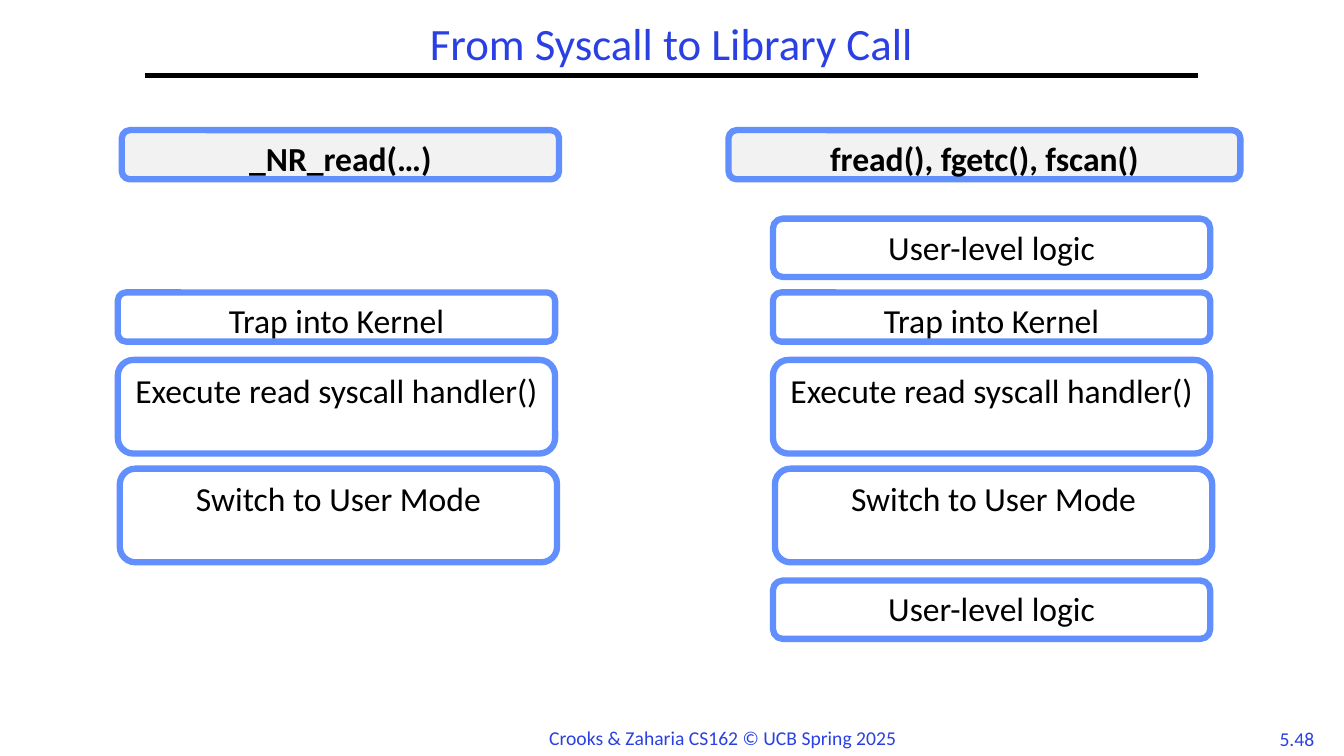
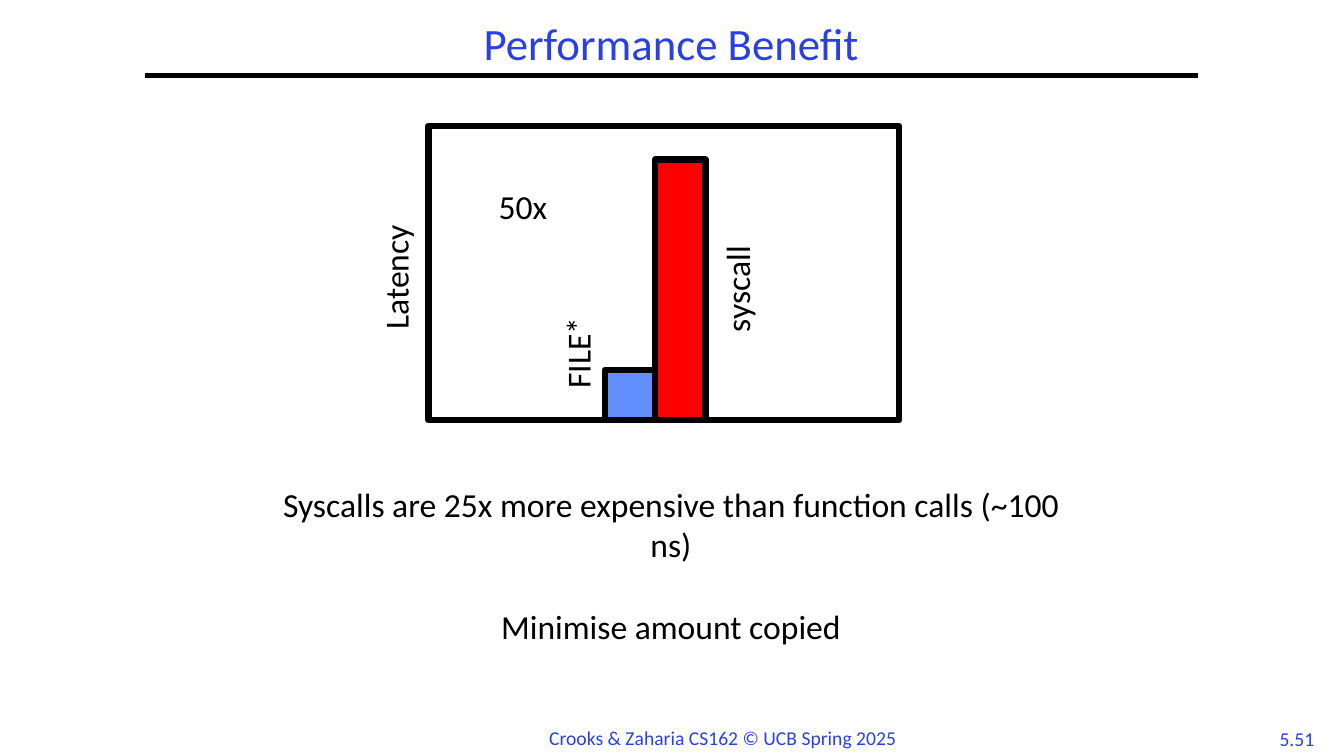
"""Build two lecture slides on system calls and library calls."""
from pptx import Presentation, util as u
from pptx.dml.color import RGBColor
from pptx.enum import shapes, text
from pptx.oxml.ns import qn
from lxml import etree

INK = RGBColor(0x2A, 0x40, 0xE2)
SKY = RGBColor(0x61, 0x8F, 0xFD)
RED = RGBColor(0xFF, 0x00, 0x00)
GREY = RGBColor(0xF2, 0xF2, 0xF2)
WHITE = RGBColor(0xFF, 0xFF, 0xFF)
BLACK = RGBColor(0x00, 0x00, 0x00)

MID = text.PP_ALIGN.CENTER
LEFT = text.PP_ALIGN.LEFT
ROUND = shapes.MSO_SHAPE.ROUNDED_RECTANGLE
RECT = shapes.MSO_SHAPE.RECTANGLE
FOOT = "Crooks & Zaharia CS162 © UCB Spring 2025"


class Deck:
    """Hold the style and the current slide."""

    body = {"name": "Calibri", "size": u.Pt(24)}
    head = {"name": "Calibri", "size": u.Pt(32)}
    small = {"name": "Calibri", "size": u.Pt(14)}

    def __init__(self):
        """Start an empty wide deck."""
        self.prs = Presentation()
        self.prs.slide_width = u.Cm(33.87)
        self.prs.slide_height = u.Cm(19.05)

    def page(self, title, num):
        """Add a slide with its title, rule and footer."""
        self.slide = self.prs.slides.add_slide(self.prs.slide_layouts[6])
        self.label(num, (31.95, 18.19, 1.47, 0.84), self.small, INK, wrap=False)
        self.label(FOOT, (13.59, 18.16, 9.32, 0.86), self.small, INK, LEFT, False)
        self.rule(3.66, 30.2, 1.9)
        box = self.label(title, (3.66, 0.43, 26.52, 1.47), self.head, INK)
        box.text_frame.vertical_anchor = text.MSO_ANCHOR.MIDDLE
        box.text_frame.paragraphs[0].line_spacing = 0.9

    def rule(self, left, right, y):
        """Draw a level black line."""
        line = self.slide.shapes.add_connector(
            shapes.MSO_CONNECTOR.STRAIGHT, u.Cm(left), u.Cm(y), u.Cm(right), u.Cm(y))
        line.line.color.rgb = BLACK
        line.line.width = u.Pt(3)
        etree.SubElement(line._element.spPr, qn("a:effectLst"))

    def put(self, frame, words, style, color, align=MID, gap=0):
        """Fill a text frame, one paragraph per line."""
        for i, line in enumerate(words.split("\n")):
            para = frame.paragraphs[0] if i == 0 else frame.add_paragraph()
            para.text = line
            para.alignment = align
            if i:
                para.space_before = u.Pt(gap)
            for key, value in style.items():
                setattr(para.font, key, value)
            para.font.color.rgb = color

    def label(self, words, at, style=body, color=BLACK, align=MID, wrap=True, turn=0, gap=0):
        """Add a text box."""
        box = self.slide.shapes.add_textbox(*map(u.Cm, at))
        box.rotation = turn
        box.text_frame.word_wrap = wrap
        self.put(box.text_frame, words, style, color, align, gap)
        return box

    def block(self, kind, at, fill, edge, words="", bold=False):
        """Add a filled shape with a thick edge."""
        box = self.slide.shapes.add_shape(kind, *map(u.Cm, at))
        box.shadow.inherit = False
        box.fill.solid()
        box.fill.fore_color.rgb = fill
        box.line.color.rgb = edge
        box.line.width = u.Pt(4.5)
        if words:
            box.text_frame.vertical_anchor = text.MSO_ANCHOR.TOP
            self.put(box.text_frame, words, {**self.body, "bold": bold}, BLACK)


def calls(deck):
    """Compare the steps of a syscall and a library call."""
    deck.page("From Syscall to Library Call", "5.48")
    steps = [("Trap into Kernel", 0, 7.37, 1.24),
             ("Execute read syscall handler()", 0, 9.07, 2.36),
             ("Switch to User Mode", 0.05, 11.81, 2.36)]
    user = [("User-level logic", 0, y, 1.47) for y in (5.51, 14.63)]
    for left, rows in ((2.97, steps), (19.48, steps + user)):
        for words, shift, top, high in rows:
            deck.block(ROUND, (left + shift, top, 11.02, high), WHITE, SKY, words)
    for words, left, wide in (("_NR_read(…)", 3.07, 11.02),
                              ("fread(), fgetc(), fscan()", 18.36, 12.9)):
        deck.block(ROUND, (left, 3.28, wide, 1.24), GREY, SKY, words, True)


def gain(deck):
    """Show the latency gap as two bars."""
    deck.page("Performance Benefit", "5.51")
    deck.label("Syscalls are 25x more expensive than function calls (~100 ns)\n"
               "Minimise amount copied", (6.65, 12.07, 20.52, 4.37), gap=29.3)
    base = 10.59
    for left, wide, high, fill in ((10.8, 11.86, 7.42, WHITE),
                                   (15.24, 1.27, 1.27, SKY),
                                   (16.51, 1.27, 6.57, RED)):
        deck.block(RECT, (left, base - high, wide, high), fill, BLACK)
    for words, left, top, wide, turn in (("Latency", -0.3, 6.35, 20.52, 270),
                                         ("FILE*", 11.86, 8.26, 5.38, 270),
                                         ("syscall", 15.88, 6.65, 5.38, 270),
                                         ("50x", 10.49, 4.55, 5.38, 0)):
        deck.label(words, (left, top, wide, 1.27), turn=turn)


def main():
    """Build and save the deck."""
    deck = Deck()
    calls(deck)
    gain(deck)
    deck.prs.save("out.pptx")


if __name__ == "__main__":
    main()
